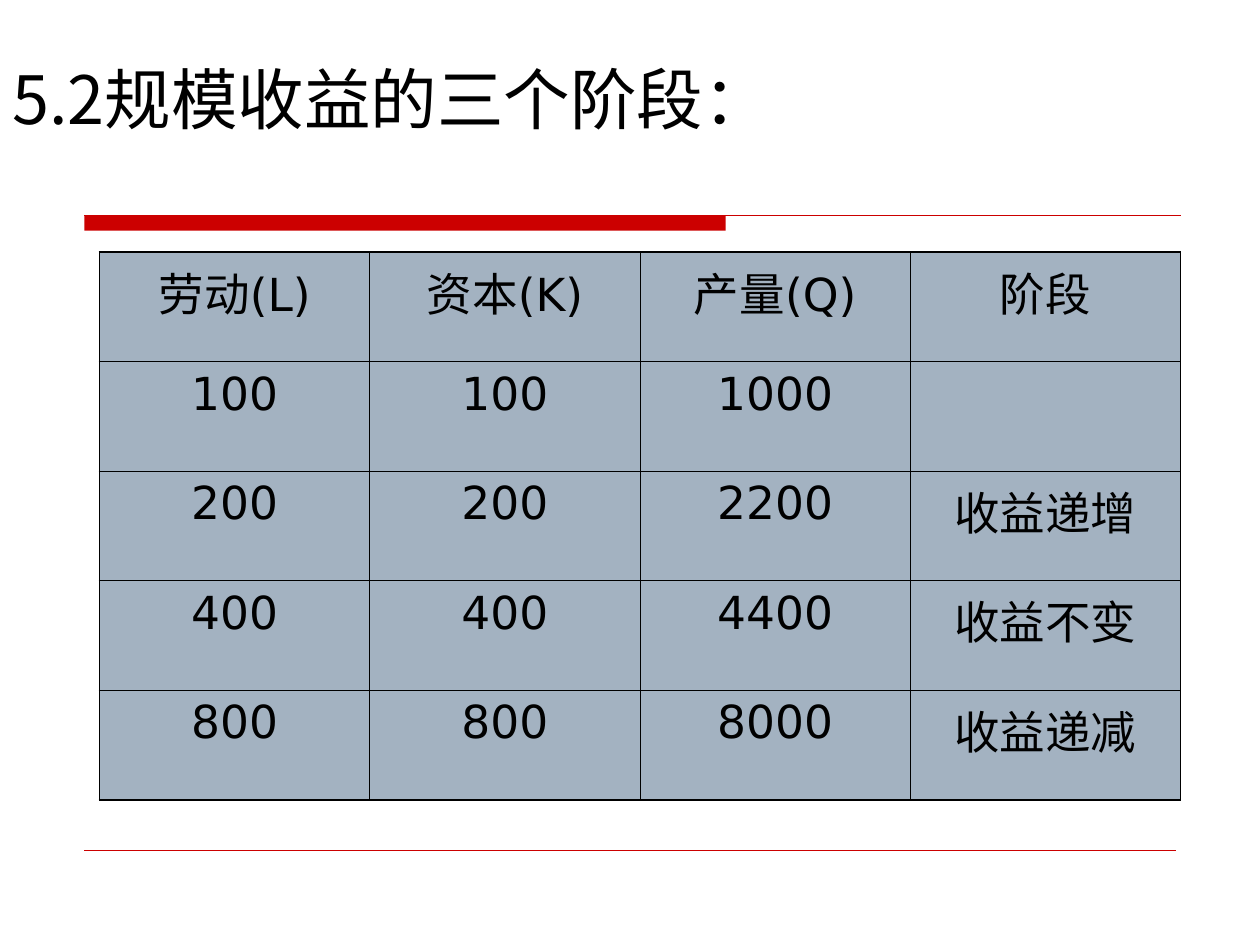
import pptx
import pptx.dml.color
import pptx.enum.shapes
import pptx.enum.text
import pptx.oxml.ns
import pptx.util
import lxml.etree

Inches = pptx.util.Inches
Pt = pptx.util.Pt
RED, BLACK, GREY_BLUE = "CC0000", "000000", "A3B2C1"
CJK_FONT = "Noto Sans CJK SC"


def color(hex_code):
    return pptx.dml.color.RGBColor.from_string(hex_code)


def add_text(para, text, text_format):
    span = para.add_run()
    span.text = text
    for name, value in text_format.items():
        setattr(span.font, name, value)
    span.font.color.rgb = color(BLACK)
    # East Asian characters take their own typeface
    lxml.etree.SubElement(span.font._element, pptx.oxml.ns.qn("a:ea"), typeface=CJK_FONT)


deck = pptx.Presentation()
deck.slide_width, deck.slide_height = Inches(10), Inches(7.5)
page = deck.slides.add_slide(deck.slide_layouts[6])

# Red bar under the title
bar = page.shapes.add_shape(
    pptx.enum.shapes.MSO_SHAPE.RECTANGLE, Inches(0.67), Inches(1.71), Inches(5.09), Inches(0.12))
bar.shadow.inherit = False
bar.fill.solid()
bar.fill.fore_color.rgb = color(RED)
bar.line.fill.background()

# Thin rules: right end, height, weight
for right, top, weight in [(9.37, 1.71, 0.75), (9.33, 6.75, 0.25)]:
    rule = page.shapes.add_connector(
        pptx.enum.shapes.MSO_CONNECTOR.STRAIGHT,
        Inches(0.67), Inches(top), Inches(right), Inches(top))
    rule.line.color.rgb = color(RED)
    rule.line.width = Pt(weight)
    lxml.etree.SubElement(rule._element.spPr, pptx.oxml.ns.qn("a:effectLst"))

# Title
title = page.shapes.add_textbox(Inches(0), Inches(0.36), Inches(8.5), Inches(0.83))
title.text_frame.word_wrap = True
title.text_frame.vertical_anchor = pptx.enum.text.MSO_ANCHOR.MIDDLE
add_text(title.text_frame.paragraphs[0], "5.2规模收益的三个阶段：",
         {"name": CJK_FONT, "size": Pt(38)})

# Table of the stages of returns to scale
rows = [
    ["劳动(L)", "资本(K)", "产量(Q)", "阶段"],
    ["100", "100", "1000", ""],
    ["200", "200", "2200", "收益递增"],
    ["400", "400", "4400", "收益不变"],
    ["800", "800", "8000", "收益递减"],
]
last_row, last_column = len(rows) - 1, len(rows[0]) - 1
frame = page.shapes.add_table(
    len(rows), len(rows[0]), Inches(0.79), Inches(2), Inches(8.58), Inches(4.35))
table = frame.table
table.first_row = table.horz_banding = False
for column in table.columns:
    column.width = Inches(8.58 / len(rows[0]))
for row in table.rows:
    row.height = Inches(0.87)

cell_format = {"name": "DejaVu Sans", "size": Pt(26)}
for r, values in enumerate(rows):
    for c, value in enumerate(values):
        cell = table.cell(r, c)
        para = cell.text_frame.paragraphs[0]
        para.alignment = pptx.enum.text.PP_ALIGN.CENTER
        if value:
            add_text(para, value, cell_format)

        # Heavier border on the outside edges
        outer = {"lnL": c == 0, "lnR": c == last_column, "lnT": r == 0, "lnB": r == last_row}
        properties = cell._tc.get_or_add_tcPr()
        for side, is_outer in outer.items():
            border = lxml.etree.SubElement(
                properties, pptx.oxml.ns.qn("a:" + side), w=str(Pt(1.08 if is_outer else 0.45)))
            paint = lxml.etree.SubElement(border, pptx.oxml.ns.qn("a:solidFill"))
            lxml.etree.SubElement(paint, pptx.oxml.ns.qn("a:srgbClr"), val=BLACK)
        cell.fill.solid()
        cell.fill.fore_color.rgb = color(GREY_BLUE)

deck.save("out.pptx")
